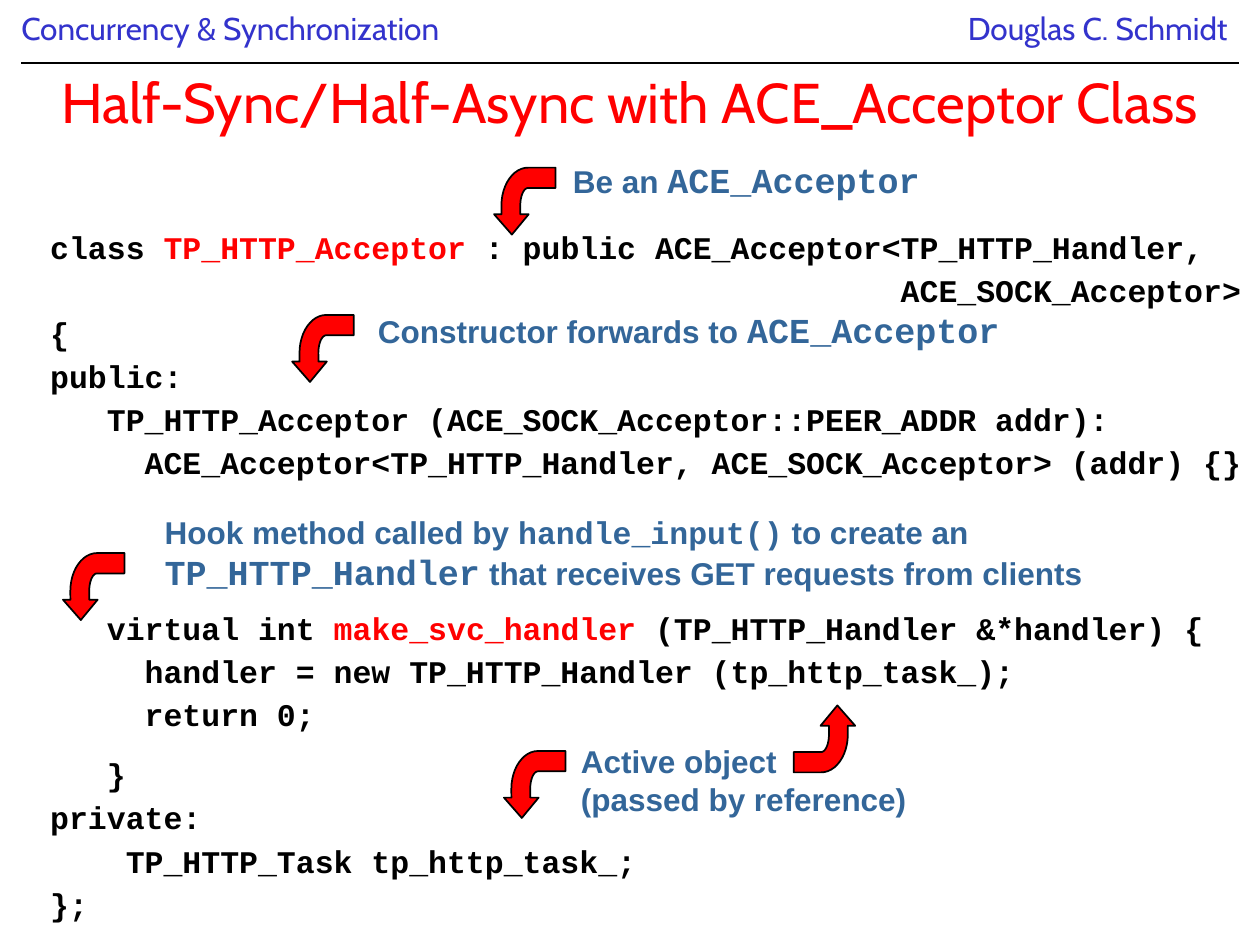
from math import cos, pi, sin

from lxml.etree import SubElement
from pptx import Presentation
from pptx.dml.color import RGBColor
from pptx.enum.shapes import MSO_CONNECTOR as Connector
from pptx.enum.text import MSO_ANCHOR as Anchor, MSO_AUTO_SIZE as AutoSize, PP_ALIGN as Align
from pptx.oxml.ns import qn
from pptx.util import Cm, Pt

COLOURS = {
    "black": "000000",
    "red": "FF0000",
    "header": "3333CC",
    "note": "336699",
}

STYLES = {
    "header": ("header", {"name": "Cabin", "size": Pt(18), "bold": False}),
    "title": ("red", {"name": "Cabin", "size": Pt(32), "bold": False}),
    "code": ("black", {"name": "Courier New", "size": Pt(18), "bold": True}),
    "key": ("red", {"name": "Courier New", "size": Pt(18), "bold": True}),
    "note": ("note", {"name": "Arial", "size": Pt(18), "bold": True}),
    "call": ("note", {"name": "Courier New", "size": Pt(18), "bold": True}),
    "type": ("note", {"name": "Courier New", "size": Pt(20), "bold": True}),
}

LINE_GAP, BRACE_GAP, HOOK_GAP = 3, 13, 73

CODE = [
    (0, [("  class ", "code"), ("TP_HTTP_Acceptor ", "key"),
         (": public ACE_Acceptor<TP_HTTP_Handler,", "code")]),
    (LINE_GAP, [("                                               ACE_SOCK_Acceptor>", "code")]),
    (LINE_GAP, [("  {", "code")]),
    (LINE_GAP, [("  public:", "code")]),
    (LINE_GAP, [("     TP_HTTP_Acceptor (ACE_SOCK_Acceptor::PEER_ADDR addr):", "code")]),
    (LINE_GAP, [("       ACE_Acceptor<TP_HTTP_Handler, ACE_SOCK_Acceptor> (addr) {}", "code")]),
    (HOOK_GAP, [("     virtual int ", "code"), ("make_svc_handler", "key"),
                (" (TP_HTTP_Handler &*handler) {", "code")]),
    (LINE_GAP, [("       handler = new TP_HTTP_Handler (tp_http_task_);", "code")]),
    (LINE_GAP, [("       return 0;", "code")]),
    (BRACE_GAP, [("     }", "code")]),
    (LINE_GAP, [("  private:", "code")]),
    (LINE_GAP, [("      TP_HTTP_Task tp_http_task_;", "code")]),
    (LINE_GAP, [("  };", "code")]),
]

NOTES = [
    ((11.3, 3.07, 10.24, 1.12), [("Be an ", "note"), ("ACE_Acceptor", "type")]),
    ((7.37, 6.1, 13.39, 1.12),
     [("Constructor forwards to ", "note"), ("ACE_Acceptor", "type")]),
    ((3.07, 10.21, 19.25, 1.88),
     [("Hook method called by ", "note"), ("handle_input()", "call"),
      (" to create an ", "note"), ("TP_HTTP_Handler", "type"),
      (" that receives GET requests from clients", "note")]),
    ((11.46, 14.83, 10.24, 1.8),
     [("Active object ", "note"), ("\n", "note"), ("(passed by reference)", "note")]),
]

ARROWS = [
    (9.96, 3.38, 0),
    (5.89, 6.35, 0),
    (1.27, 11.15, 0),
    (10.16, 15.14, 0),
    (16, 14.22, 180),
]


def quarter_arc(radius_x, radius_y, steps=12):
    angles = [pi / 2 * step / steps for step in range(steps + 1)]
    return [(0.69 - radius_x * cos(a), 0.76 - radius_y * sin(a)) for a in angles]


ARROW_OUTLINE = [
    (0.36, 1.35), (0, 0.94), (0.15, 0.94), *quarter_arc(0.54, 0.76),
    (1.24, 0), (1.24, 0.41), *reversed(quarter_arc(0.16, 0.35)),
    (0.53, 0.94), (0.7, 0.94),
]


def colour(name):
    return RGBColor.from_string(COLOURS[name])


class SlideBuilder:
    def __init__(self, slide, styles):
        self.slide = slide
        self.styles = styles

    def add_spans(self, para, spans):
        for text, style in spans:
            if text == "\n":
                para.add_line_break()
                continue
            span = para.add_run()
            span.text = text
            shade, values = self.styles[style]
            for name, value in values.items():
                setattr(span.font, name, value)
            span.font.color.rgb = colour(shade)

    def title(self, place, text):
        box = self.slide.shapes.title
        for name, value in zip(("left", "top", "width", "height"), place):
            setattr(box, name, Cm(value))
        frame = box.text_frame
        frame.auto_size = AutoSize.NONE
        frame.vertical_anchor = Anchor.MIDDLE
        para = frame.paragraphs[0]
        para.alignment, para.line_spacing = Align.CENTER, 0.95
        self.add_spans(para, [(text, "title")])

    def text(self, place, lines, **values):
        frame = self.slide.shapes.add_textbox(*map(Cm, place)).text_frame
        frame.word_wrap = True
        for index, (gap, spans) in enumerate(lines):
            para = frame.add_paragraph() if index else frame.paragraphs[0]
            para.space_before = Pt(gap)
            for name, value in values.items():
                setattr(para, name, value)
            self.add_spans(para, spans)
        return frame

    def rule(self, *ends):
        line = self.slide.shapes.add_connector(Connector.STRAIGHT, *map(Cm, ends))
        line.line.color.rgb = colour("black")
        line.line.width = Pt(0.75)
        SubElement(line._element.spPr, qn("a:effectLst"))

    def arrow(self, left, top, turn):
        start, *rest = [(Cm(x), Cm(y)) for x, y in ARROW_OUTLINE]
        builder = self.slide.shapes.build_freeform(*start)
        builder.add_line_segments(rest, close=True)
        shape = builder.convert_to_shape(Cm(left), Cm(top))
        shape.rotation = turn
        shape.shadow.inherit = False
        shape.fill.solid()
        shape.fill.fore_color.rgb = colour("red")
        shape.line.color.rgb = colour("black")
        shape.line.width = Pt(1)


def main():
    deck = Presentation()
    deck.slide_width, deck.slide_height = Cm(25.4), Cm(19.05)
    page = SlideBuilder(deck.slides.add_slide(deck.slide_layouts[5]), STYLES)

    page.rule(0.43, 1.27, 24.97, 1.27)
    topic = page.text((0.43, 0.15, 16.56, 0.94),
                      [(0, [("Concurrency & Synchronization", "header")])], line_spacing=0.9)
    topic.margin_left = topic.margin_right = 0
    page.text((18.62, 0.15, 6.38, 0.94), [(0, [("Douglas C. Schmidt", "header")])],
              line_spacing=0.9, alignment=Align.RIGHT)
    page.title((0, 0.84, 25.4, 2.54), "Half-Sync/Half-Async with ACE_Acceptor Class")

    page.text((0, 4.47, 25.4, 13.97), CODE)
    for place, spans in NOTES:
        page.text(place, [(0, spans)])
    for placing in ARROWS:
        page.arrow(*placing)

    deck.save("out.pptx")


if __name__ == "__main__":
    main()
